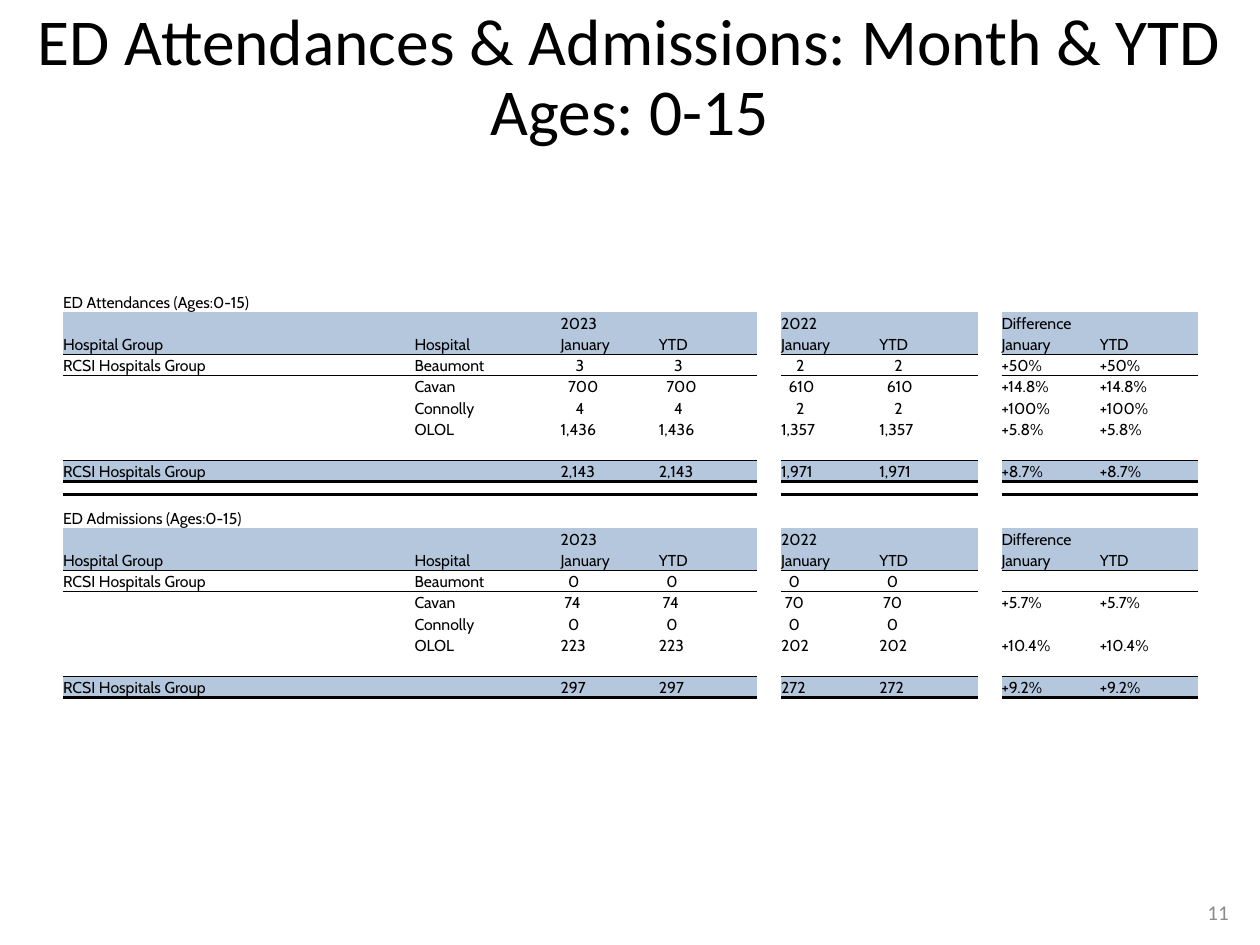
from lxml import etree
from pptx import Presentation
from pptx import util as u
from pptx.dml.color import RGBColor
from pptx.enum import text
from pptx.oxml.ns import qn

PLAIN = "{2D5ABB26-0587-4C30-8999-92F81FD0307C}"
COLS = [2.79, 1.16, 0.78, 0.78, 0.19, 0.78, 0.78, 0.19, 0.78, 0.78]
GAPS = (4, 7)
GROUP = "RCSI Hospitals Group"
BANDS = (1, 2, 8)
RULES = {2: 0.5, 7: 0.5, 8: 2}
SPAN = 11
SPACE = 0.03

VISITS = ("ED Attendances (Ages:0-15)", [
    ("Beaumont", "3", "2", "+50%"),
    ("Cavan", "700", "610", "+14.8%"),
    ("Connolly", "4", "2", "+100%"),
    ("OLOL", "1,436", "1,357", "+5.8%"),
    ("", "2,143", "1,971", "+8.7%")])
STAYS = ("ED Admissions (Ages:0-15)", [
    ("Beaumont", "0", "0", ""),
    ("Cavan", "74", "70", "+5.7%"),
    ("Connolly", "0", "0", ""),
    ("OLOL", "223", "202", "+10.4%"),
    ("", "297", "272", "+9.2%")])


def color(code):
    return RGBColor.from_string(code)


def line(group, name, now, past, diff):
    return [group, name, now, now, "", past, past, "", diff, diff]


def block(title, data):
    rows = [[title] + [""] * 9,
            ["", "", "2023", "", "", "2022", "", "", "Difference", ""],
            ["Hospital Group", "Hospital"] + ["January", "YTD", ""] * 2 + ["January", "YTD"]]
    rows += [line("" if i else GROUP, *item) for i, item in enumerate(data[:-1])]
    return rows + [[""] * 10, line(GROUP, *data[-1])]


class Deck:
    ink, band, gray = "000000", "B4C7DC", "8B8B8B"
    face, grid = "Calibri", "Cabin"

    def __init__(self):
        self.prs = Presentation()
        self.prs.slide_width, self.prs.slide_height = u.Inches(10), u.Inches(7.5)
        self.slide = self.prs.slides.add_slide(self.prs.slide_layouts[6])

    def font(self, para, face, size, code):
        for run in para.runs:
            run.font.name, run.font.size = face, u.Pt(size)
            run.font.color.rgb = color(code)

    def label(self, words, box, size, code, align, space=1.0):
        frame = self.slide.shapes.add_textbox(*map(u.Inches, box)).text_frame
        frame.word_wrap = True
        frame.vertical_anchor = text.MSO_ANCHOR.MIDDLE
        para = frame.paragraphs[0]
        para.text = words
        para.alignment, para.line_spacing = align, space
        self.font(para, self.face, size, code)

    def edge(self, cell, tag, width):
        props = cell._tc.get_or_add_tcPr()
        rule = etree.Element(qn(tag), w=str(u.Pt(width)))
        fill = etree.SubElement(rule, qn("a:solidFill"))
        etree.SubElement(fill, qn("a:srgbClr"), val=self.ink)
        props.insert(0, rule)

    def cell(self, cell, words, pad, shade):
        cell.margin_left = u.Inches(pad)
        cell.margin_right = cell.margin_top = cell.margin_bottom = 0
        cell.vertical_anchor = text.MSO_ANCHOR.BOTTOM
        para = cell.text_frame.paragraphs[0]
        if words:
            para.text = words
            self.font(para, self.grid, 9, self.ink)
        else:
            etree.SubElement(para._p, qn("a:endParaRPr"), sz="500")
        if shade:
            cell.fill.solid()
            cell.fill.fore_color.rgb = color(self.band)
        else:
            cell.fill.background()

    def table(self, box, blocks):
        rows = blocks[0] + [[""] * 10] * 2 + blocks[1]
        shape = self.slide.shapes.add_table(len(rows), len(COLS), *map(u.Inches, box))
        table = shape.table
        table.first_row = table.horz_banding = False
        table._tbl.tblPr.find(qn("a:tableStyleId")).text = PLAIN
        for col, width in zip(table.columns, COLS):
            col.width = u.Inches(width)
        slim = 0.1
        tall = (box[3] - 2 * slim) / (len(rows) - 2)
        for r, row in enumerate(rows):
            part, step = divmod(r, SPAN)
            table.rows[r].height = u.Inches(slim if step > 8 else tall)
            total = blocks[part][-1]
            for c, words in enumerate(row):
                cell = table.cell(r, c)
                number = 2 <= c < 7 and 3 <= step < 7 and words
                pad = SPACE * (len(total[c]) - len(words)) if number else 0
                self.cell(cell, words, pad, step in BANDS and c not in GAPS)
                if c in GAPS:
                    continue
                if step in RULES:
                    self.edge(cell, "a:lnB", RULES[step])
                if step - 1 in RULES:
                    self.edge(cell, "a:lnT", RULES[step - 1])


def main():
    deck = Deck()
    deck.label("ED Attendances & Admissions: Month & YTD\vAges: 0-15",
               (0, 0, 10, 1.26), 37.4, deck.ink, text.PP_ALIGN.CENTER, 0.9)
    deck.label("11", (7.52, 7.04, 2.33, 0.4), 12, deck.gray, text.PP_ALIGN.RIGHT)
    deck.table((0.5, 2.31, 9, 3.23), [block(*VISITS), block(*STAYS)])
    deck.prs.save("out.pptx")


if __name__ == "__main__":
    main()
